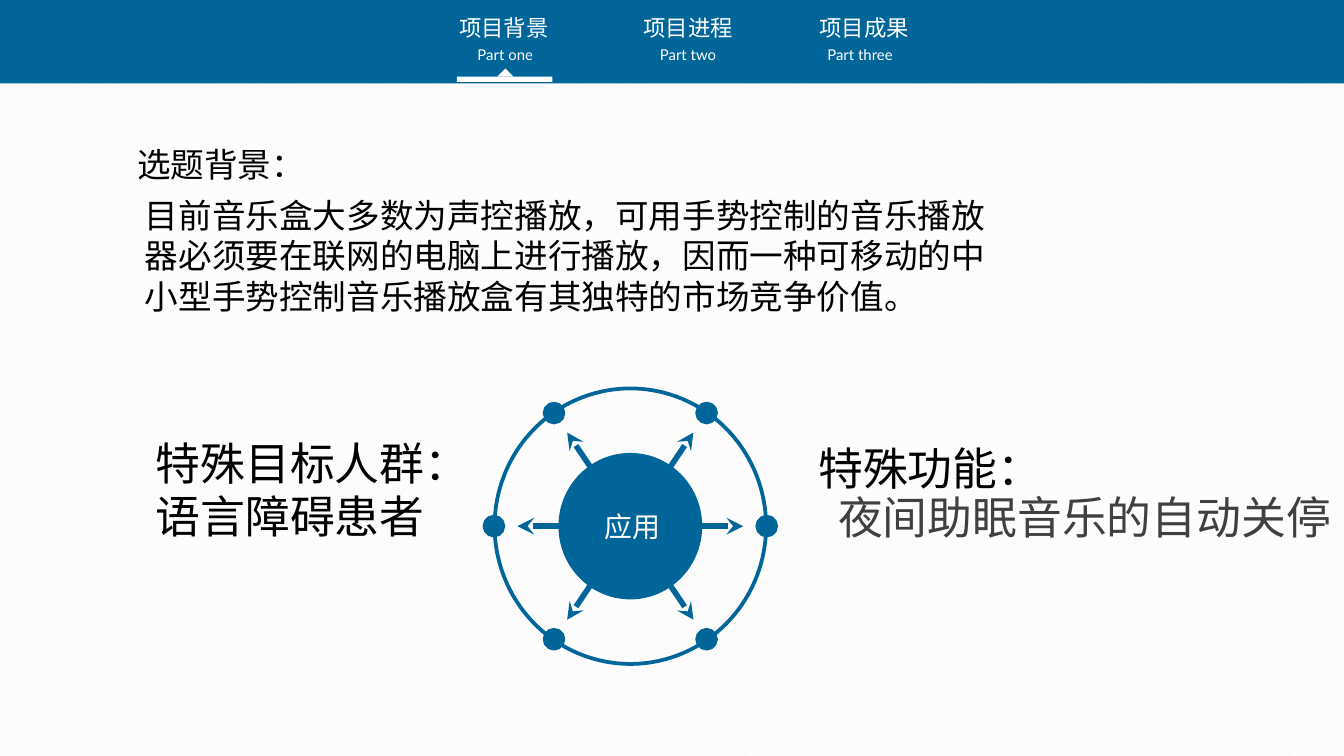
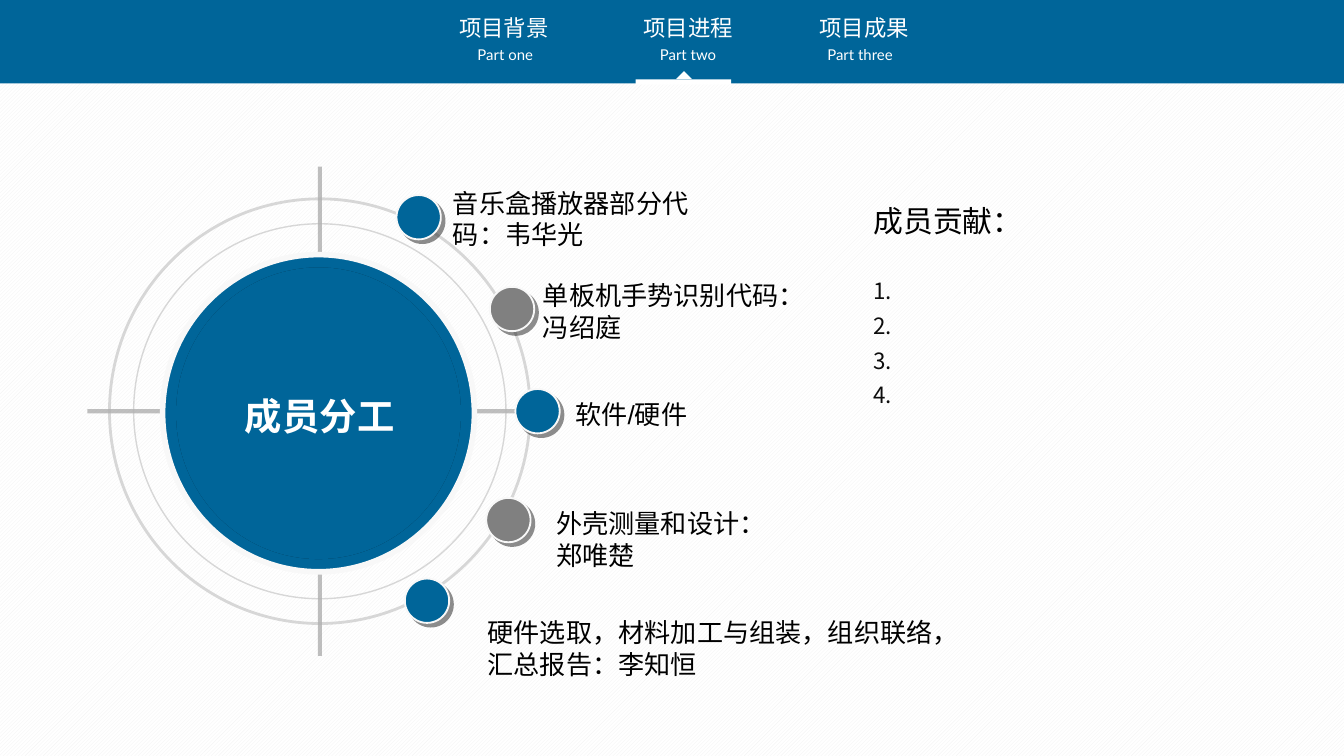
from dataclasses import dataclass
from math import cos, radians, sin
from typing import NamedTuple, Optional

from lxml.etree import SubElement
from pptx import Presentation
from pptx.dml.color import RGBColor
from pptx.enum.dml import MSO_PATTERN
from pptx.enum.shapes import MSO_CONNECTOR, MSO_SHAPE
from pptx.enum.text import MSO_ANCHOR, MSO_AUTO_SIZE, PP_ALIGN
from pptx.oxml.ns import qn
from pptx.util import Emu, Inches, Pt

COLOURS = {
    "blue": "006599", "white": "FFFFFF", "black": "000000", "hatch": "F2F2F2",
    "slate": "404040", "ink": "0D0D0D", "grey": "808080", "ring": "B2B2B2",
    "rim": "F8F8F8", "shade": "1C1C1C",
}
CJK = "Noto Sans CJK SC"
COLUMNS, ROWS = 100, 56.25
WIDTH, HEIGHT = Inches(10), Inches(5.625)


class Box(NamedTuple):
    """A place in grid columns and rows."""
    left: float
    top: float
    width: float
    height: float


class Point(NamedTuple):
    """A spot in grid columns and rows."""
    x: float
    y: float


class Stroke(NamedTuple):
    """An outline, with its opacity in percent."""
    colour: str
    width: float
    opacity: int = 100


class Shade(NamedTuple):
    """A half-transparent shadow, with distance in points and angle in degrees."""
    colour: str
    distance: float
    angle: int


@dataclass(frozen=True)
class Style:
    """How a text looks and sits in its box."""
    size: float
    font: str = CJK
    colour: str = "black"
    bold: bool = False
    align: PP_ALIGN = PP_ALIGN.LEFT
    anchor: MSO_ANCHOR = MSO_ANCHOR.TOP
    wrap: bool = True
    grow: bool = True
    spacing: Optional[float] = None
    inset: Point = Point(1, 0.5)


@dataclass(frozen=True)
class Tab:
    """One section in the navigation band."""
    label: str
    subtitle: str
    label_centre: float
    subtitle_centre: float
    marker: Point


@dataclass(frozen=True)
class Duty:
    """A share of the work with its dot on the ring."""
    text: str
    box: Box
    style: Style
    angle: float
    colour: str


TIGHT = Point(0.8, 0.4)
TAB_LABEL = Style(12, colour="white", align=PP_ALIGN.CENTER)
TAB_SUBTITLE = Style(8, "Lato", "white", align=PP_ALIGN.CENTER)
HEADING = Style(24, wrap=False)
DUTY_MIDDLE = Style(14, "Arial", anchor=MSO_ANCHOR.MIDDLE, inset=TIGHT)
TABS = (
    Tab("项目背景", "Part one", 37.5, 37.6, Point(34, 5.7)),
    Tab("项目进程", "Part two", 51.2, 51.2, Point(47.3, 5.9)),
    Tab("项目成果", "Part three", 64.3, 64, Point(60.5, 5.9)),
)
DUTIES = (
    Duty("音乐盒播放器部分代码：韦华光", Box(32.9, 13.5, 20.3, 5.5),
         DUTY_MIDDLE, -63, "blue"),
    Duty("单板机手势识别代码：\n冯绍庭", Box(39.6, 20.4, 20.3, 5.5),
         DUTY_MIDDLE, -28, "grey"),
    Duty("软件/硬件", Box(42, 29.2, 20.3, 3.2), DUTY_MIDDLE, 0, "blue"),
    Duty("外壳测量和设计：\n郑唯楚", Box(40.4, 37.3, 17.7, 5.7),
         Style(14, "Arial", wrap=False), 30, "grey"),
    Duty("硬件选取，材料加工与组装，组织联络，\n汇总报告：李知恒",
         Box(35.3, 45.4, 37.4, 5.7), Style(14, "Lato", wrap=False), 60.5, "blue"),
)


def rgb(name: str) -> RGBColor:
    """Look up a colour."""
    return RGBColor.from_string(COLOURS[name])


def across(columns: float) -> Emu:
    """Turn columns into a length."""
    return Emu(round(WIDTH * columns / COLUMNS))


def down(rows: float) -> Emu:
    """Turn rows into a length."""
    return Emu(round(HEIGHT * rows / ROWS))


def place(box: Box) -> tuple:
    """Turn a grid box into left, top, width and height."""
    return across(box.left), down(box.top), across(box.width), down(box.height)


def around(centre: Point, width: float, height: float) -> Box:
    """Box of a given size about a centre."""
    return Box(centre.x - width / 2, centre.y - height / 2, width, height)


def orbit(centre: Point, radius: float, angle: float) -> Point:
    """Point on a circle, with the angle clockwise from the right."""
    turn = radians(angle)
    return Point(centre.x + radius * cos(turn), centre.y + radius * sin(turn))


def write(shape, text: str, style: Style) -> None:
    """Put styled text in a shape."""
    frame = shape.text_frame
    frame.text = text
    frame.word_wrap = style.wrap
    frame.auto_size = MSO_AUTO_SIZE.SHAPE_TO_FIT_TEXT if style.grow else MSO_AUTO_SIZE.NONE
    frame.vertical_anchor = style.anchor
    frame.margin_left = frame.margin_right = across(style.inset.x)
    frame.margin_top = frame.margin_bottom = down(style.inset.y)
    for paragraph in frame.paragraphs:
        paragraph.alignment = style.align
        if style.spacing is not None:
            paragraph.line_spacing = style.spacing
        for run in paragraph.runs:
            run.font.size = Pt(style.size)
            run.font.name = style.font
            run.font.bold = style.bold
            run.font.color.rgb = rgb(style.colour)
    for properties in shape.element.iter(qn("a:rPr")):
        SubElement(properties, qn("a:ea"), typeface=CJK)


def add_text(slide, box: Box, text: str, style: Style) -> None:
    """Add a text box."""
    write(slide.shapes.add_textbox(*place(box)), text, style)


def set_opacity(holder, percent: int) -> None:
    """Make the colours inside an element partly transparent."""
    if percent < 100:
        for colour in list(holder.iter(qn("a:srgbClr"))):
            SubElement(colour, qn("a:alpha"), val=str(percent * 1000))


def apply_stroke(shape, stroke: Stroke) -> None:
    """Draw the line of a shape or connector."""
    shape.line.color.rgb = rgb(stroke.colour)
    shape.line.width = Pt(stroke.width)
    set_opacity(shape.element.spPr.find(qn("a:ln")), stroke.opacity)


def add_figure(slide, kind: MSO_SHAPE, box: Box, fill: Optional[str] = None,
               stroke: Optional[Stroke] = None, shade: Optional[Shade] = None):
    """Add a preset shape."""
    figure = slide.shapes.add_shape(kind, *place(box))
    figure.shadow.inherit = False
    if fill:
        figure.fill.solid()
        figure.fill.fore_color.rgb = rgb(fill)
    else:
        figure.fill.background()
    if stroke:
        apply_stroke(figure, stroke)
    else:
        figure.line.fill.background()
    if shade:
        effects = figure.element.spPr.find(qn("a:effectLst"))
        outer = SubElement(effects, qn("a:outerShdw"), blurRad="0",
                           dist=str(Pt(shade.distance)), dir=str(shade.angle * 60000),
                           algn="ctr", rotWithShape="0")
        SubElement(outer, qn("a:srgbClr"), val=COLOURS[shade.colour])
        set_opacity(outer, 50)
    return figure


def add_line(slide, start: Point, end: Point, stroke: Stroke, arrow: bool = False) -> None:
    """Add a straight line, with an arrowhead at its end if wanted."""
    line = slide.shapes.add_connector(MSO_CONNECTOR.STRAIGHT, across(start.x), down(start.y),
                                      across(end.x), down(end.y))
    apply_stroke(line, stroke)
    properties = line.element.spPr
    if arrow:
        SubElement(properties.find(qn("a:ln")), qn("a:tailEnd"), type="stealth")
    SubElement(properties, qn("a:effectLst"))


def add_band(slide, current: Tab) -> None:
    """Draw the navigation band and mark the current section."""
    add_figure(slide, MSO_SHAPE.RECTANGLE, Box(0, 0, COLUMNS, 6.2), "blue")
    for tab in TABS:
        add_text(slide, Box(tab.label_centre - 5.6, 0.6, 11.2, 3), tab.label, TAB_LABEL)
        add_text(slide, Box(tab.subtitle_centre - 3.5, 2.9, 7, 2.4), tab.subtitle, TAB_SUBTITLE)
    left, top = current.marker
    add_figure(slide, MSO_SHAPE.RECTANGLE, Box(left, top, 7.1, 0.4), "white")
    add_figure(slide, MSO_SHAPE.ISOSCELES_TRIANGLE, Box(left + 3, top - 0.6, 1.2, 0.6), "white")


def add_page(deck, current: Tab, title: str, box: Box, style: Style):
    """Add a hatched slide with its title and band."""
    slide = deck.slides.add_slide(deck.slide_layouts[5])
    fill = slide.background.fill
    fill.patterned()
    fill.pattern = MSO_PATTERN.LIGHT_UPWARD_DIAGONAL
    fill.fore_color.rgb = rgb("hatch")
    fill.back_color.rgb = rgb("white")
    heading = slide.shapes.title
    heading.left, heading.top, heading.width, heading.height = place(box)
    write(heading, title, style)
    add_band(slide, current)
    return slide


def build_background(deck) -> None:
    """Build the slide on the project's background."""
    slide = add_page(deck, TABS[0], "选题背景：", Box(9.2, 10.2, 14.6, 4), Style(18, wrap=False))
    add_text(slide, Box(9.8, 14, 65.2, 10.1),
             "目前音乐盒大多数为声控播放，可用手势控制的音乐播放器必须要在联网的电脑上进行播放，"
             "因而一种可移动的中小型手势控制音乐播放盒有其独特的市场竞争价值。", Style(18, "Lato"))
    hub = Point(46.9, 39.15)
    outline = Stroke("blue", 2)
    add_figure(slide, MSO_SHAPE.OVAL, around(hub, 20.2, 20.5), stroke=outline)
    for angle in (0, 56, 124, 180, 236, 304):
        add_figure(slide, MSO_SHAPE.OVAL, around(orbit(hub, 10.15, angle), 1.4, 1.4),
                   "blue", outline)
        add_line(slide, hub, orbit(hub, 8.4, angle), Stroke("blue", 3), arrow=True)
    add_figure(slide, MSO_SHAPE.OVAL, around(hub, 10.7, 10.9), "blue")
    add_text(slide, Box(44, 37.4, 6.9, 3.5), "应用", Style(15, colour="white", wrap=False))
    add_text(slide, Box(59.9, 32.3, 18.8, 5), "特殊功能：", HEADING)
    add_text(slide, Box(60.2, 37, 39.8, 4), "夜间助眠音乐的自动关停",
             Style(24, "Arial", "slate", align=PP_ALIGN.RIGHT, spacing=Pt(21.1)))
    add_text(slide, Box(10.6, 31.9, 25.6, 9.1), "特殊目标人群：\n语言障碍患者", HEADING)


def build_progress(deck) -> None:
    """Build the slide on who does what."""
    slide = add_page(deck, TABS[1], "成员贡献：", Box(64.2, 14.7, 15.7, 3.5),
                     Style(16, inset=TIGHT))
    hub = Point(23.8, 30.6)
    axis = Stroke("grey", 2.25, 50)
    add_line(slide, Point(6.5, hub.y), Point(41.1, hub.y), axis)
    add_line(slide, Point(hub.x, 12.4), Point(hub.x, 48.8), axis)
    for width, height, weight in ((27.7, 27.9, 0.75), (31.3, 31.6, 1.5)):
        add_figure(slide, MSO_SHAPE.OVAL, around(hub, width, height),
                   stroke=Stroke("ring", weight, 50))
    core = Point(23.7, 30.75)
    add_figure(slide, MSO_SHAPE.OVAL, around(core, 23.2, 23.6), "blue", Stroke("rim", 3))
    add_figure(slide, MSO_SHAPE.OVAL, around(core, 21.2, 21.7), "blue",
               shade=Shade("black", 0, 0))
    centre = add_figure(slide, MSO_SHAPE.OVAL, Box(17, 24, 13.6, 13.9), "blue")
    write(centre, "成员分工", Style(20, "Arial", "white", bold=True, align=PP_ALIGN.CENTER,
                                anchor=MSO_ANCHOR.MIDDLE, wrap=False, grow=False))
    for duty in DUTIES:
        dot = orbit(hub, 16.2, duty.angle)
        add_figure(slide, MSO_SHAPE.OVAL, around(dot, 3.3, 3.3), duty.colour,
                   Stroke("rim", 1), Shade("shade", 2.8, 45))
        add_figure(slide, MSO_SHAPE.OVAL, around(dot, 2.8, 2.8), duty.colour)
        add_text(slide, duty.box, duty.text, duty.style)
    add_text(slide, Box(64.2, 19.6, 33.1, 11), "1.\n2.\n3.\n4.",
             Style(12, colour="ink", spacing=1.3, inset=TIGHT))


def main() -> None:
    """Build and save the deck."""
    deck = Presentation()
    deck.slide_width, deck.slide_height = WIDTH, HEIGHT
    build_background(deck)
    build_progress(deck)
    deck.save("out.pptx")


if __name__ == "__main__":
    main()
